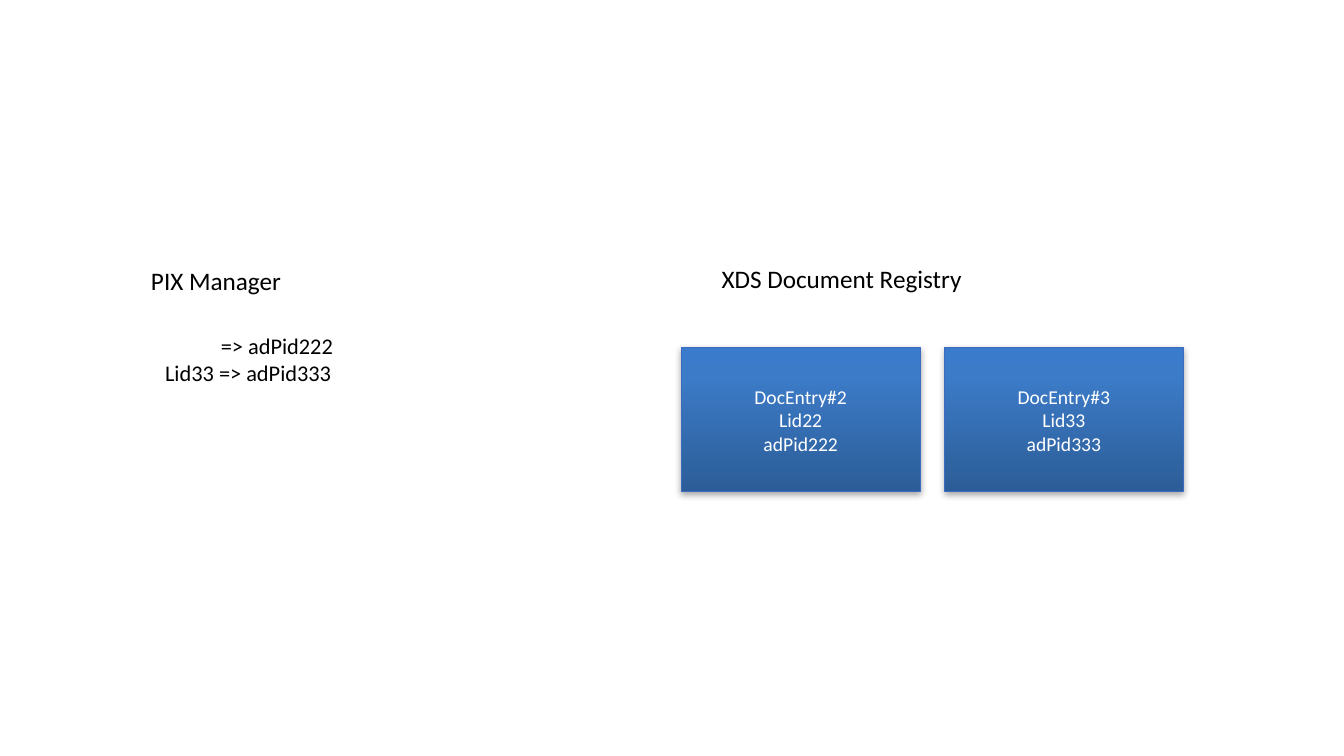
import lxml.etree
import pptx
import pptx.dml.color
import pptx.enum.shapes
import pptx.enum.text
import pptx.oxml
import pptx.oxml.ns
import pptx.util

Pt = pptx.util.Pt
RGBColor = pptx.dml.color.RGBColor
ALIGN = pptx.enum.text.PP_ALIGN
ANCHOR = pptx.enum.text.MSO_ANCHOR

BLACK = RGBColor(0x00, 0x00, 0x00)
WHITE = RGBColor(0xFF, 0xFF, 0xFF)
OUTLINE = RGBColor(0x3C, 0x6B, 0xBF)
ENTRY_GRADIENT = [
    (0, RGBColor(0x2C, 0x5D, 0x98)),
    (80, RGBColor(0x3C, 0x7B, 0xC7)),
    (100, RGBColor(0x3A, 0x7C, 0xCB)),
]
FONT = "Calibri"

HEADINGS = [
    ("PIX Manager", (100.8, 185.8, 198.7, 54)),
    ("XDS Document Registry", (508.3, 184.3, 344.9, 54)),
]
MAPPINGS = [("=> adPid222", 39.8), ("Lid33 => adPid333", 0)]
MAPPING_BOX = (110.9, 234, 283, 85.7)
ENTRIES = [
    ("DocEntry#2", "Lid22", "adPid222"),
    ("DocEntry#3", "Lid33", "adPid333"),
]
ENTRY_LEFT, ENTRY_TOP = 486.7, 248.4
ENTRY_WIDTH, ENTRY_HEIGHT = 170.6, 103
ENTRY_STEP = 188

NAMESPACE = pptx.oxml.ns.nsdecls("a")


def write_lines(shape, lines, size, color, align=ALIGN.LEFT):
    frame = shape.text_frame
    frame.word_wrap = True
    for index, (text, indent) in enumerate(lines):
        paragraph = frame.paragraphs[0] if index == 0 else frame.add_paragraph()
        paragraph.alignment = align
        if indent:
            paragraph._p.get_or_add_pPr().set("marL", str(Pt(indent)))
        run = paragraph.add_run()
        run.text = text
        run.font.name = FONT
        run.font.size = Pt(size)
        run.font.color.rgb = color


def add_text(slide, box, lines, size):
    shape = slide.shapes.add_textbox(*map(Pt, box))
    write_lines(shape, lines, size, BLACK)


def fill_gradient(shape, stops):
    stop_xml = "".join(
        f'<a:gs pos="{position * 1000}"><a:srgbClr val="{color}"/></a:gs>'
        for position, color in stops
    )
    gradient = pptx.oxml.parse_xml(
        f'<a:gradFill {NAMESPACE} rotWithShape="1"><a:gsLst>{stop_xml}</a:gsLst>'
        '<a:lin ang="16200000" scaled="0"/></a:gradFill>'
    )
    shape.fill.background()
    properties = shape._element.spPr
    properties.replace(properties.find(pptx.oxml.ns.qn("a:noFill")), gradient)


def add_shadow(shape):
    shape.shadow.inherit = False
    effects = shape._element.spPr.find(pptx.oxml.ns.qn("a:effectLst"))
    effects.append(pptx.oxml.parse_xml(
        f'<a:outerShdw {NAMESPACE} blurRad="{Pt(5)}" dist="{Pt(1.8)}" '
        'dir="5400000" rotWithShape="0"><a:srgbClr val="000000">'
        '<a:alpha val="35000"/></a:srgbClr></a:outerShdw>'
    ))


def add_entry(slide, index, texts):
    shape = slide.shapes.add_shape(
        pptx.enum.shapes.MSO_SHAPE.RECTANGLE,
        Pt(ENTRY_LEFT + index * ENTRY_STEP), Pt(ENTRY_TOP),
        Pt(ENTRY_WIDTH), Pt(ENTRY_HEIGHT),
    )
    fill_gradient(shape, ENTRY_GRADIENT)
    shape.line.color.rgb = OUTLINE
    shape.line.width = Pt(0.75)
    add_shadow(shape)
    shape.text_frame.vertical_anchor = ANCHOR.MIDDLE
    write_lines(shape, [(text, 0) for text in texts], 14, WHITE, ALIGN.CENTER)


def main():
    presentation = pptx.Presentation()
    presentation.slide_width = Pt(960)
    presentation.slide_height = Pt(540)
    slide = presentation.slides.add_slide(presentation.slide_layouts[6])
    for text, box in HEADINGS:
        add_text(slide, box, [(text, 0)], 18)
    add_text(slide, MAPPING_BOX, MAPPINGS, 16)
    for index, texts in enumerate(ENTRIES):
        add_entry(slide, index, texts)
    presentation.save("out.pptx")


if __name__ == "__main__":
    main()
